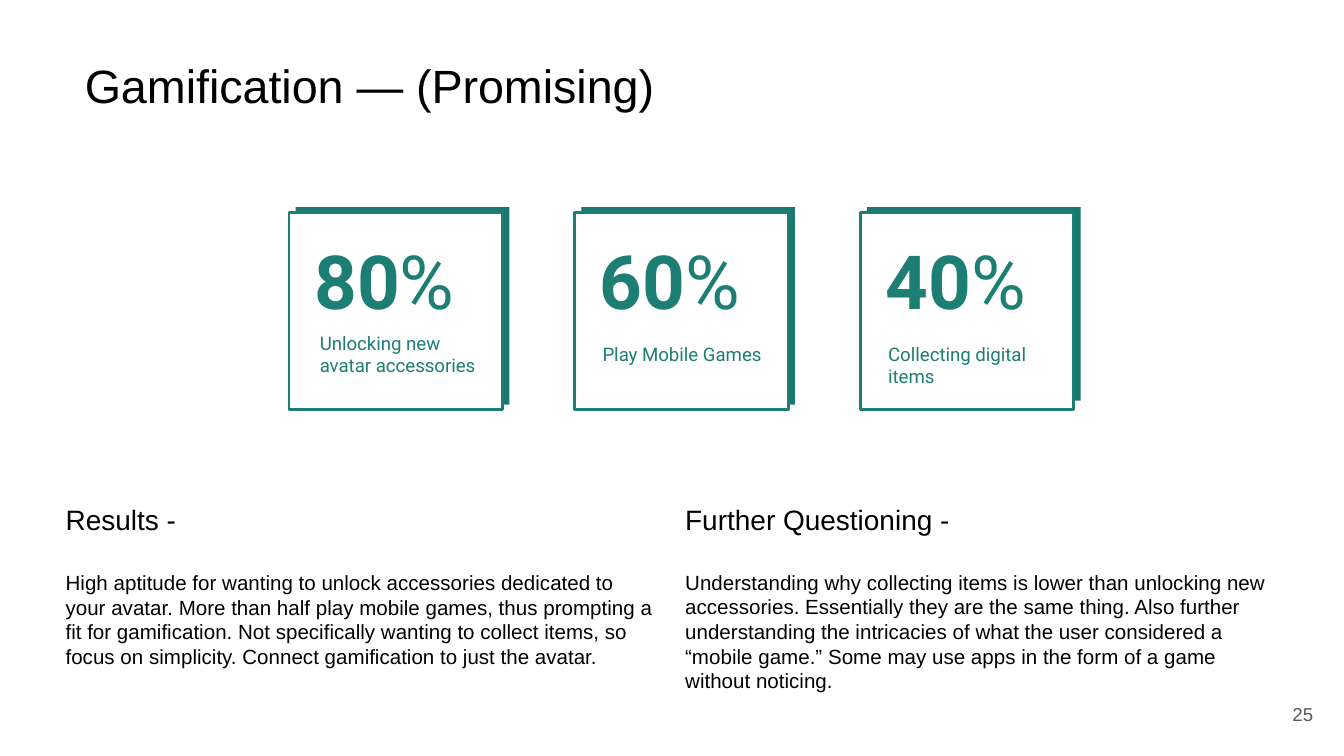
from pptx import Presentation
from pptx import util as u
from pptx.dml.color import RGBColor
from pptx.enum import shapes, text

COLORS = {"ink": "000000", "teal": "1D7E74", "shade": "1B786E", "paper": "FFFFFF", "muted": "595959"}
INSET = 7.2


def color(name):
    return RGBColor.from_string(COLORS[name])


def write(paragraph, content, size, font="Arial", fill="ink", bold=False,
          align=text.PP_ALIGN.LEFT, before=0):
    paragraph.alignment = align
    paragraph.space_before = u.Pt(before)
    run = paragraph.add_run()
    run.text = content
    run.font.size = u.Pt(size)
    run.font.name = font
    run.font.bold = bold
    run.font.color.rgb = color(fill)


class Deck:
    def __init__(self, width, height):
        self.file = Presentation()
        self.file.slide_width, self.file.slide_height = u.Pt(width), u.Pt(height)
        self.slide = self.file.slides.add_slide(self.file.slide_layouts[5])

    def frame(self, owner, anchor=text.MSO_ANCHOR.TOP, fit=text.MSO_AUTO_SIZE.NONE):
        frame = owner.text_frame
        frame.margin_left = frame.margin_right = u.Pt(INSET)
        frame.margin_top = frame.margin_bottom = u.Pt(INSET)
        frame.word_wrap = True
        frame.auto_size = fit
        frame.vertical_anchor = anchor
        return frame

    def title(self, content, *bounds):
        heading = self.slide.shapes.title
        heading.left, heading.top, heading.width, heading.height = map(u.Pt, bounds)
        frame = self.frame(heading, fit=text.MSO_AUTO_SIZE.SHAPE_TO_FIT_TEXT)
        write(frame.paragraphs[0], content, 25)

    def textbox(self, *bounds, parent=None, **layout):
        owner = (parent or self.slide).shapes
        return self.frame(owner.add_textbox(*map(u.Pt, bounds)), **layout)

    def panel(self, parent, *bounds, fill, line=None):
        panel = parent.shapes.add_shape(shapes.MSO_SHAPE.RECTANGLE, *map(u.Pt, bounds))
        panel.shadow.inherit = False
        panel.fill.solid()
        panel.fill.fore_color.rgb = color(fill)
        if line:
            panel.line.color.rgb = color(line)
            panel.line.width = u.Pt(1.5)
        else:
            panel.line.fill.background()

    def card(self, left, figure, caption, caption_left, caption_top, shade_height):
        card = self.slide.shapes.add_group_shape()
        self.panel(card, left + 3.6, 111, 114.5, shade_height, fill="shade")
        self.panel(card, left, 113.8, 114.5, 105.8, fill="paper", line="teal")
        label = self.textbox(left + caption_left, caption_top, 102.2, 26, parent=card)
        write(label.paragraphs[0], caption, 10, font="Roboto", fill="teal")
        value = self.textbox(left + 6.5, 118.8, 102.2, 28.8, parent=card).paragraphs[0]
        write(value, figure, 40, font="Roboto", fill="teal", bold=True)
        write(value, "%", 40, font="Roboto", fill="teal")

    def column(self, left, height, heading, body):
        frame = self.textbox(left, 262.1, 332, height, fit=text.MSO_AUTO_SIZE.SHAPE_TO_FIT_TEXT)
        write(frame.paragraphs[0], heading, 15)
        write(frame.add_paragraph(), body, 11, before=18)

    def page_number(self, number):
        frame = self.textbox(667.4, 367.2, 43.2, 31, anchor=text.MSO_ANCHOR.MIDDLE)
        write(frame.paragraphs[0], number, 10, fill="muted", align=text.PP_ALIGN.RIGHT)


def main():
    deck = Deck(720, 405)
    deck.title("Gamification — (Promising)", 38.2, 23, 459.4, 44.6)

    findings = [
        ("80", "Unlocking new avatar accessories", 9.4, 170.6, 105.8),
        ("60", "Play Mobile Games", 7.9, 176.4, 105.8),
        ("40", "Collecting digital items", 7.9, 176.4, 103.7),
    ]
    for index, finding in enumerate(findings):
        deck.card(154.8 + 153 * index, *finding)

    deck.column(28.1, 104.4, "Results -",
                "High aptitude for wanting to unlock accessories dedicated to your avatar. "
                "More than half play mobile games, thus prompting a fit for gamification. "
                "Not specifically wanting to collect items, so focus on simplicity. "
                "Connect gamification to just the avatar.")
    deck.column(360, 117.4, "Further Questioning -",
                "Understanding why collecting items is lower than unlocking new accessories. "
                "Essentially they are the same thing. Also further understanding the "
                "intricacies of what the user considered a “mobile game.” "
                "Some may use apps in the form of a game without noticing.")
    deck.page_number("25")
    deck.file.save("out.pptx")


if __name__ == "__main__":
    main()
